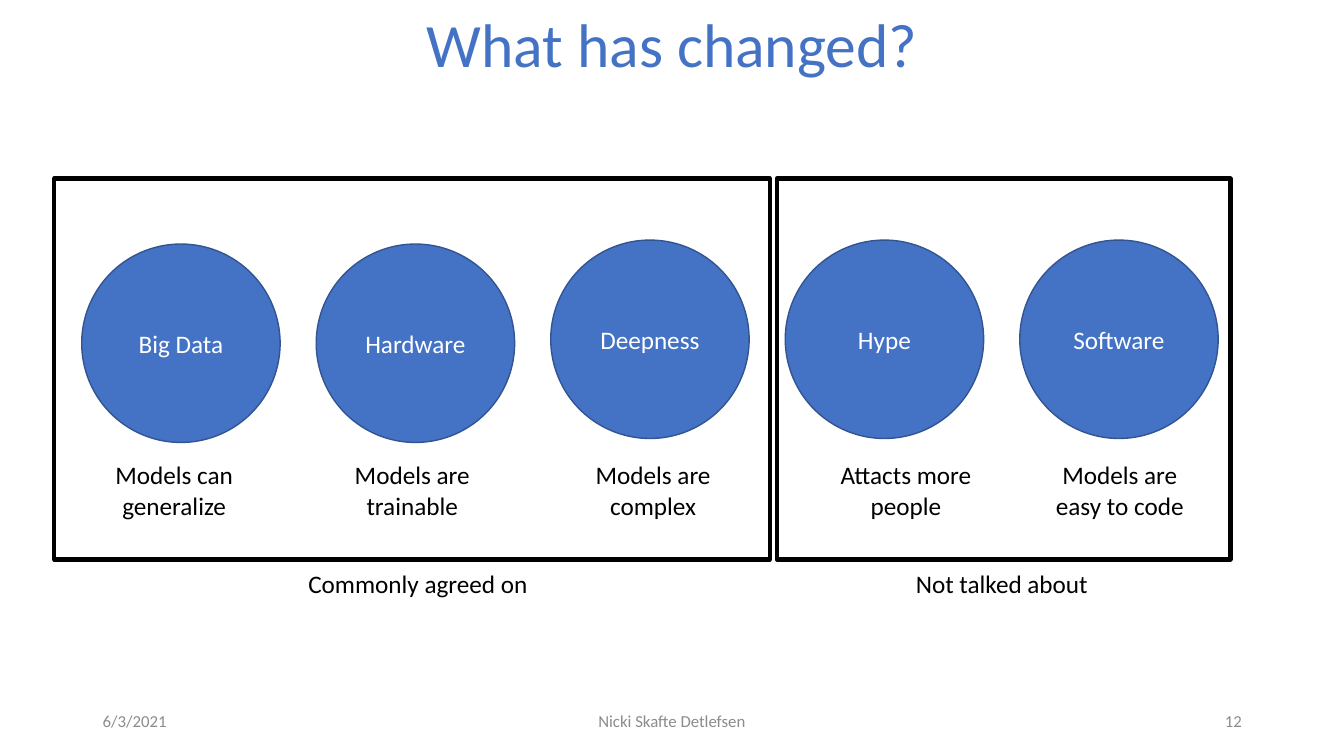
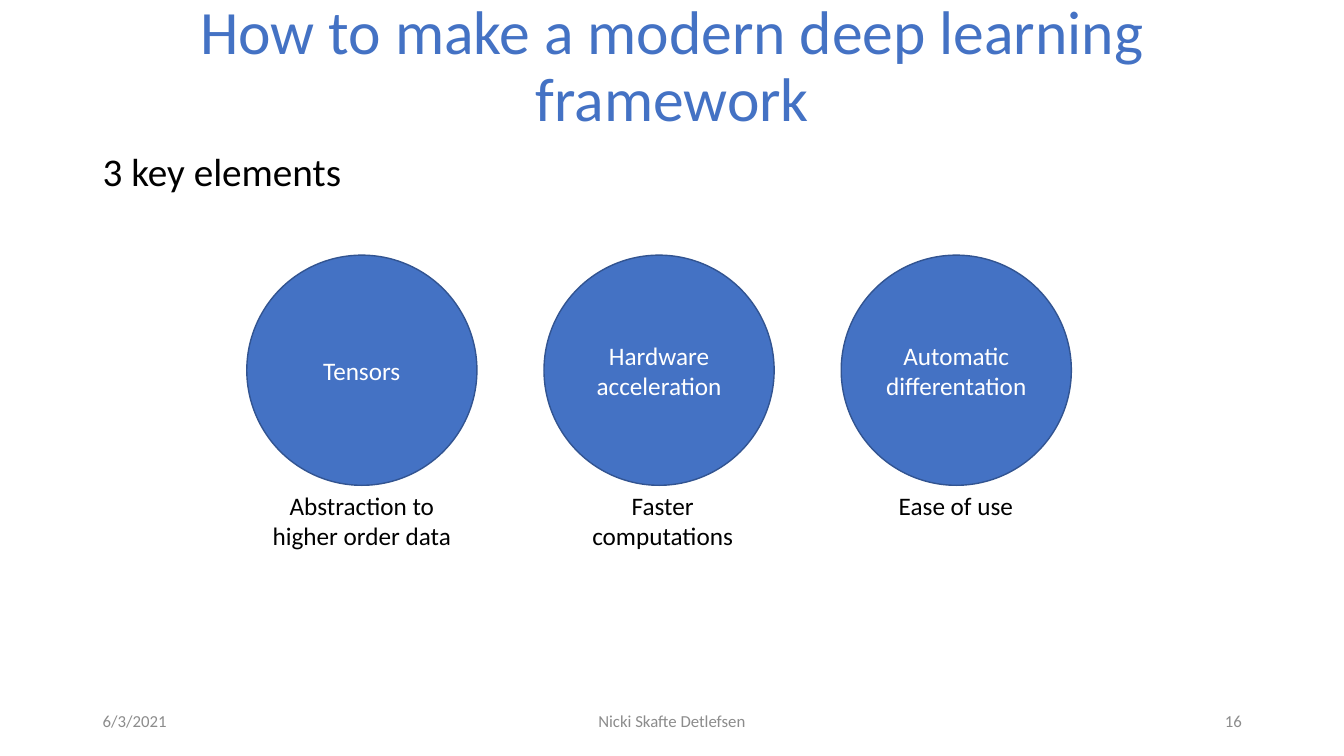
from dataclasses import dataclass

from pptx import Presentation
from pptx.dml.color import RGBColor
from pptx.enum.shapes import MSO_SHAPE
from pptx.enum.text import MSO_ANCHOR, MSO_AUTO_SIZE, PP_ALIGN
from pptx.util import Cm, Pt

BLUE = RGBColor(0x44, 0x72, 0xC4)
DARK_BLUE = RGBColor(0x32, 0x54, 0x91)
GREY = RGBColor(0x8C, 0x8C, 0x8C)
BLACK = RGBColor(0x00, 0x00, 0x00)
WHITE = RGBColor(0xFF, 0xFF, 0xFF)

LEFT, CENTER, RIGHT = PP_ALIGN.LEFT, PP_ALIGN.CENTER, PP_ALIGN.RIGHT
TOP, MIDDLE = MSO_ANCHOR.TOP, MSO_ANCHOR.MIDDLE
NO_AUTOFIT = MSO_AUTO_SIZE.NONE
ELLIPSE, RECTANGLE = MSO_SHAPE.OVAL, MSO_SHAPE.RECTANGLE

FONT = "Calibri"
TITLE_ONLY = 5
# All lengths below are centimetres
PAGE_WIDTH, PAGE_HEIGHT = 33.87, 19.05
MARGIN = 2.34
CONTENT_WIDTH = 29.21
FOOTER_TOP, FOOTER_HEIGHT = 17.65, 1.01


@dataclass(frozen=True)
class Area:
    left: float
    top: float
    width: float
    height: float

    def lengths(self) -> tuple:
        return Cm(self.left), Cm(self.top), Cm(self.width), Cm(self.height)


@dataclass(frozen=True)
class Style:
    size: float = 18
    color: RGBColor = BLACK
    align: PP_ALIGN = CENTER
    anchor: MSO_ANCHOR = TOP
    line_spacing: float = 1.0
    space_before: float = 0


@dataclass(frozen=True)
class Topic:
    """A circle and the caption below it."""
    name: str
    circle_top: float
    caption: str
    caption_area: Area
    caption_align: PP_ALIGN = CENTER


@dataclass(frozen=True)
class Group:
    """A frame around topics and the label below it."""
    frame: Area
    label: str
    label_left: float


TITLE = Style(44, BLUE, anchor=MIDDLE, line_spacing=0.9)
LEAD = Style(28, align=LEFT, line_spacing=0.9, space_before=10)
CIRCLE = Style(color=WHITE, anchor=MIDDLE)
LABEL = Style(align=LEFT)


def write(shape, text: str, style: Style) -> None:
    frame = shape.text_frame
    frame.word_wrap = True
    frame.auto_size = NO_AUTOFIT
    frame.vertical_anchor = style.anchor
    para = frame.paragraphs[0]
    para.alignment = style.align
    para.line_spacing = style.line_spacing
    para.space_before = Pt(style.space_before)
    span = para.add_run()
    span.text = text
    span.font.name = FONT
    span.font.size = Pt(style.size)
    span.font.color.rgb = style.color


def add_text(page, area: Area, text: str, style: Style) -> None:
    write(page.shapes.add_textbox(*area.lengths()), text, style)


def add_outlined(page, kind: MSO_SHAPE, area: Area, color: RGBColor, weight: float):
    shape = page.shapes.add_shape(kind, *area.lengths())
    shape.shadow.inherit = False
    shape.fill.background()
    shape.line.color.rgb = color
    shape.line.width = Pt(weight)
    return shape


def add_page(deck, title: str, title_top: float, number: int):
    """Start a page with its title and footer."""
    page = deck.slides.add_slide(deck.slide_layouts[TITLE_ONLY])
    box = page.shapes.title
    box.left, box.top, box.width, box.height = Area(
        MARGIN, title_top, CONTENT_WIDTH, 3.68).lengths()
    write(box, title, TITLE)

    footers = (
        (MARGIN, 7.62, "6/3/2021", LEFT),
        (11.22, 11.43, "Nicki Skafte Detlefsen", CENTER),
        (23.93, 7.62, str(number), RIGHT),
    )
    for left, width, text, align in footers:
        add_text(page, Area(left, FOOTER_TOP, width, FOOTER_HEIGHT), text,
                 Style(12, GREY, align, MIDDLE))
    return page


def add_topics(page, topics: tuple, left: float, step: float, diameter: float) -> None:
    for index, topic in enumerate(topics):
        area = Area(left + index * step, topic.circle_top, diameter, diameter)
        circle = add_outlined(page, ELLIPSE, area, DARK_BLUE, 1)
        circle.fill.solid()
        circle.fill.fore_color.rgb = BLUE
        write(circle, topic.name, CIRCLE)
        add_text(page, topic.caption_area, topic.caption,
                 Style(align=topic.caption_align))


def add_group(page, group: Group) -> None:
    add_outlined(page, RECTANGLE, group.frame, BLACK, 3)
    add_text(page, Area(group.label_left, 14.2, 8.89, 1.02), group.label, LABEL)


def build_changes(deck) -> None:
    def caption_at(left: float) -> Area:
        return Area(left, 11.46, 3.96, 1.8)

    page = add_page(deck, "What has changed?", -0.64, 12)
    topics = (
        Topic("Big Data", 6.15, "Models can generalize", caption_at(2.41)),
        Topic("Hardware", 6.15, "Models are trainable", caption_at(8.41)),
        Topic("Deepness", 6.05, "Models are complex", caption_at(14.48)),
        Topic("Hype", 6.05, "Attacts more people", caption_at(20.85)),
        Topic("Software", 6.05, "Models are easy to code", caption_at(26.24)),
    )
    add_topics(page, topics, left=2.06, step=5.91, diameter=5)
    groups = (
        Group(Area(1.37, 4.5, 18.03, 9.6), "Commonly agreed on", 7.52),
        Group(Area(19.58, 4.5, 11.43, 9.6), "Not talked about", 22.83),
    )
    for group in groups:
        add_group(page, group)


def build_framework(deck) -> None:
    page = add_page(deck, "How to make a modern deep learning framework", -0.13, 16)
    add_text(page, Area(MARGIN, 3.73, CONTENT_WIDTH, 1.8), "3 key elements", LEAD)
    circle_top, caption_top = 6.43, 12.23
    topics = (
        Topic("Tensors", circle_top, "Abstraction to higher order data",
              Area(6.3, caption_top, 5.64, 1.8)),
        Topic("Hardware acceleration", circle_top, "Faster computations",
              Area(14.2, caption_top, 5, 1.8)),
        Topic("Automatic differentation", circle_top, "Ease of use",
              Area(22.4, caption_top, 3.96, 1.02), LEFT),
    )
    add_topics(page, topics, left=6.22, step=7.49, diameter=5.8)


def main() -> None:
    deck = Presentation()
    deck.slide_width, deck.slide_height = Cm(PAGE_WIDTH), Cm(PAGE_HEIGHT)
    build_changes(deck)
    build_framework(deck)
    deck.save("out.pptx")


if __name__ == "__main__":
    main()
